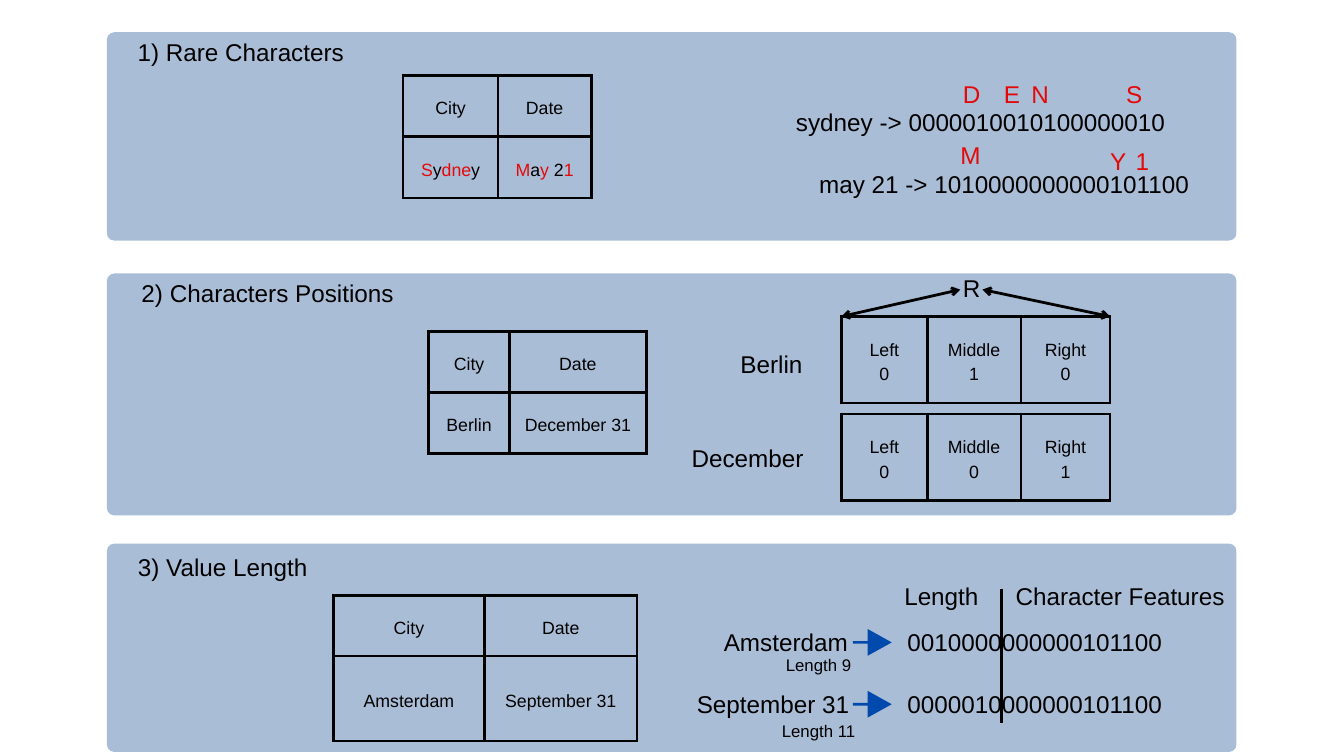
from dataclasses import dataclass

import lxml.etree
import pptx
import pptx.dml.color
import pptx.enum.shapes
import pptx.enum.text
import pptx.oxml.ns
import pptx.util

SCALE = 9144  # EMU per px, 100 px to the inch
qn = pptx.oxml.ns.qn


@dataclass(frozen=True)
class Theme:
    font: str = "Arial"
    ink: str = "000000"
    accent: str = "E40909"
    panel: str = "AABDD6"
    arrow: str = "004AAD"
    large: int = 26
    cell: int = 19
    small: int = 18
    rule: int = 3
    leading: float = 1.4


@dataclass(frozen=True)
class Box:
    x: int
    y: int
    w: int
    h: int

    def inner(self, x, y, w=0, h=0):
        return Box(self.x + x, self.y + y, w, h)

    def emu(self):
        return [px(value) for value in (self.x, self.y, self.w, self.h)]


THEME = Theme()


def px(value):
    return pptx.util.Emu(value * SCALE)


def rgb(value):
    return pptx.dml.color.RGBColor.from_string(value)


def write_text(frame, *lines, size=THEME.large, color=THEME.ink):
    """Each line is a string or a list of (text, colour) spans."""
    for number, line in enumerate(lines):
        para = frame.add_paragraph() if number else frame.paragraphs[0]
        para.alignment = pptx.enum.text.PP_ALIGN.CENTER
        para.line_spacing = pptx.util.Pt(size * THEME.leading)
        para.space_before = pptx.util.Pt(0)
        for text, tint in [(line, color)] if isinstance(line, str) else line:
            span = para.add_run()
            span.text = text
            span.font.name = THEME.font
            span.font.size = pptx.util.Pt(size)
            span.font.bold = False
            span.font.color.rgb = rgb(tint)


def set_frame(frame):
    frame.margin_left = frame.margin_right = frame.margin_top = frame.margin_bottom = 0
    frame.word_wrap = True
    frame.auto_size = pptx.enum.text.MSO_AUTO_SIZE.NONE
    frame.vertical_anchor = pptx.enum.text.MSO_ANCHOR.TOP


def add_label(page, box, text, **style):
    frame = page.shapes.add_textbox(*box.emu()).text_frame
    set_frame(frame)
    write_text(frame, text, **style)


def place_heading(holder, box, text):
    holder.left, holder.top, holder.width, holder.height = box.emu()
    set_frame(holder.text_frame)
    write_text(holder.text_frame, text)
    # Bring the placeholder in front of its panel
    holder.element.getparent().append(holder.element)


def add_solid(page, kind, box, color, *adjustments):
    shape = page.shapes.add_shape(kind, *box.emu())
    shape.shadow.inherit = False
    shape.fill.solid()
    shape.fill.fore_color.rgb = rgb(color)
    shape.line.fill.background()
    for index, value in enumerate(adjustments):
        shape.adjustments[index] = value


def add_panel(page, box):
    kind = pptx.enum.shapes.MSO_SHAPE.ROUNDED_RECTANGLE
    add_solid(page, kind, box, THEME.panel, 11 / box.h)


def add_line(page, start, end, arrows=False):
    kind = pptx.enum.shapes.MSO_CONNECTOR.STRAIGHT
    line = page.shapes.add_connector(kind, px(start.x), px(start.y), px(end.x), px(end.y))
    line.line.width = pptx.util.Pt(THEME.rule)
    line.line.color.rgb = rgb(THEME.ink)
    properties = line.element.spPr
    if arrows:
        for tag in ("a:headEnd", "a:tailEnd"):
            lxml.etree.SubElement(properties.find(qn("a:ln")), qn(tag), type="arrow")
    lxml.etree.SubElement(properties, qn("a:effectLst"))


def add_borders(cell):
    properties = cell._tc.get_or_add_tcPr()
    for side in ("a:lnL", "a:lnR", "a:lnT", "a:lnB"):
        border = lxml.etree.SubElement(properties, qn(side), w=str(pptx.util.Pt(THEME.rule)))
        fill = lxml.etree.SubElement(border, qn("a:solidFill"))
        lxml.etree.SubElement(fill, qn("a:srgbClr"), val=THEME.ink)


def add_grid(page, corner, widths, heights, rows):
    """Each cell is a tuple of lines."""
    box = Box(corner.x, corner.y, sum(widths), sum(heights))
    table = page.shapes.add_table(len(rows), len(widths), *box.emu()).table
    table.first_row = table.horz_banding = False
    for column, width in zip(table.columns, widths):
        column.width = px(width)
    for row, height, values in zip(table.rows, heights, rows):
        row.height = px(height)
        for cell, lines in zip(row.cells, values):
            add_borders(cell)
            cell.fill.background()
            cell.margin_left = cell.margin_right = cell.margin_top = cell.margin_bottom = px(21)
            cell.vertical_anchor = pptx.enum.text.MSO_ANCHOR.MIDDLE
            write_text(cell.text_frame, *lines, size=THEME.cell)


def add_rare_characters(page, box, holder):
    add_panel(page, box)
    place_heading(holder, box.inner(41, 0, 317, 50), "1) Rare Characters")
    # Values with their rare characters marked
    ink, accent = THEME.ink, THEME.accent
    city = [("S", accent), ("y", ink), ("dne", accent), ("y", ink)]
    date = [("M", accent), ("a", ink), ("y ", accent), ("2", ink), ("1", accent)]
    add_grid(page, box.inner(441, 64), (141, 139), (91, 92),
             [[("City",), ("Date",)], [(city,), (date,)]])
    # Bit codes and the letters above their set bits
    add_label(page, box.inner(1021, 105, 559, 50), "sydney -> 0000010010100000010")
    add_label(page, box.inner(1041, 196, 589, 50), "may 21 -> 1010000000000101100")
    letters = [("D", 1274, 62, 26), ("E", 1335, 62, 24), ("N", 1376, 62, 26), ("S", 1517, 62, 24),
               ("M", 1270, 154, 30), ("Y", 1493, 163, 24), ("1", 1531, 163, 20)]
    for letter, x, y, width in letters:
        add_label(page, box.inner(x, y, width, 50), letter, color=accent)


def add_character_positions(page, box, holder):
    add_panel(page, box)
    place_heading(holder, box.inner(38, 0, 403, 50), "2) Characters Positions")
    add_grid(page, box.inner(479, 86), (120, 204), (91, 91),
             [[("City",), ("Date",)], [("Berlin",), ("December 31",)]])
    # Position flags of each value
    add_label(page, box.inner(938, 105, 102, 50), "Berlin")
    add_label(page, box.inner(866, 245, 175, 50), "December")
    for y, flags in ((64, "010"), (209, "001")):
        add_grid(page, box.inner(1093, y), (128, 139, 133), (129,),
                 [list(zip(("Left", "Middle", "Right"), flags))])
    # The character looked for and the span it is sought in
    add_label(page, box.inner(1274, -7, 26, 50), "R")
    add_line(page, box.inner(1093, 64), box.inner(1270, 24), arrows=True)
    add_line(page, box.inner(1303, 24), box.inner(1493, 64), arrows=True)


def add_value_length(page, box, holder):
    add_panel(page, box)
    place_heading(holder, box.inner(38, 6, 269, 50), "3) Value Length")
    add_grid(page, box.inner(337, 77), (225, 227), (90, 127),
             [[("City",), ("Date",)], [("Amsterdam",), ("September 31",)]])
    # Column captions and divider
    add_label(page, box.inner(1182, 49, 120, 50), "Length")
    add_label(page, box.inner(1335, 48, 346, 50), "Character Features")
    # One line for each value: name, length, arrow, code
    values = [("Amsterdam", 199, "Length 9", 1007, 161, 104, "0010000000000101100"),
              ("September 31", 237, "Length 11", 1000, 259, 118, "0000010000000101100")]
    for number, (name, width, length, x, y, length_width, code) in enumerate(values):
        top = 117 + 92 * number
        add_label(page, box.inner(1110 - width, top, width, 50), name)
        add_label(page, box.inner(x, y, length_width, 36), length, size=THEME.small)
        add_solid(page, pptx.enum.shapes.MSO_SHAPE.RIGHT_ARROW,
                  box.inner(1110, top + 10, 58, 40), THEME.arrow, 0.1, 0.9)
        add_label(page, box.inner(1190, top, 382, 50), code)
    add_line(page, box.inner(1331, 67), box.inner(1331, 267))


def main():
    deck = pptx.Presentation()
    deck.slide_width, deck.slide_height = px(2000), px(1125)
    page = deck.slides.add_slide(deck.slide_layouts.get_by_name("Comparison"))
    holders = {holder.placeholder_format.idx: holder for holder in page.placeholders}
    # The title and the two text placeholders carry the headings
    for unused in (2, 4):
        element = holders[unused].element
        element.getparent().remove(element)
    add_rare_characters(page, Box(159, 48, 1681, 310), holders[0])
    add_character_positions(page, Box(159, 407, 1681, 360), holders[1])
    add_value_length(page, Box(159, 809, 1681, 310), holders[3])
    deck.save("out.pptx")


if __name__ == "__main__":
    main()
